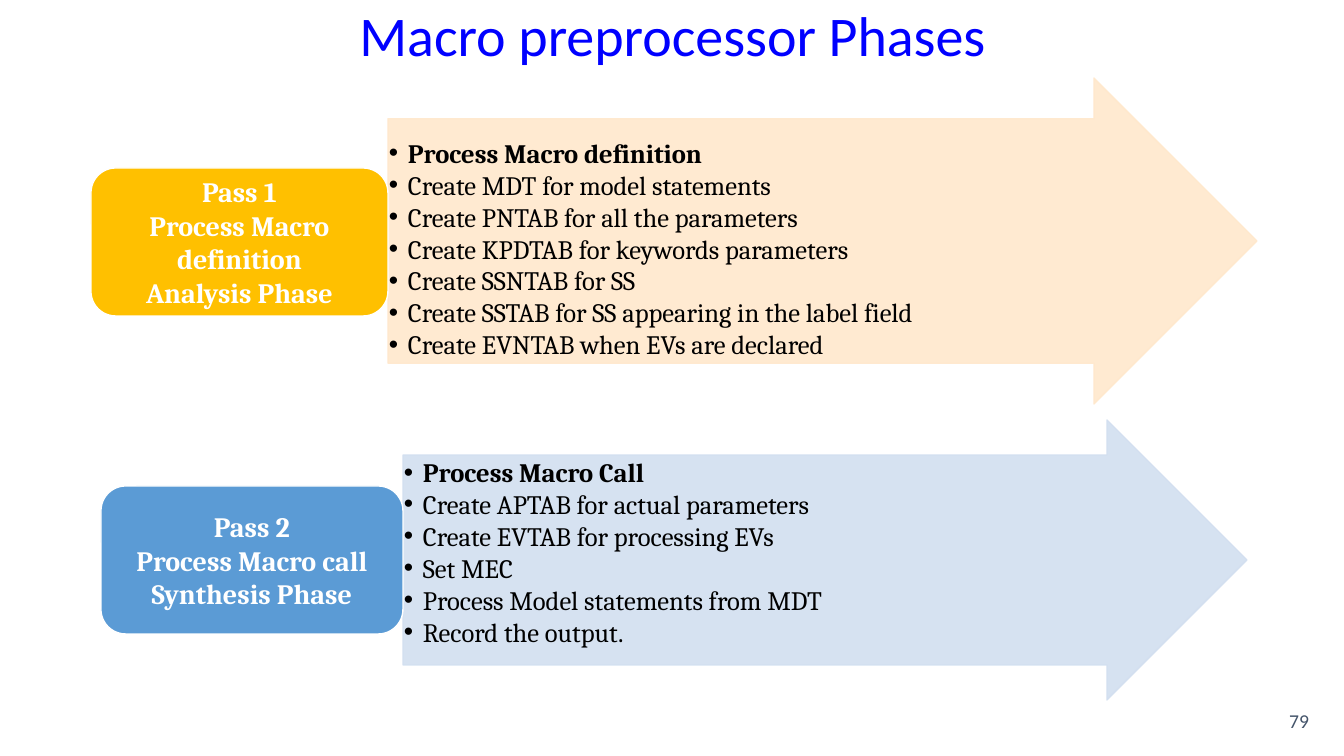
import lxml.etree
import pptx
import pptx.dml.color
import pptx.enum.shapes
import pptx.enum.text
import pptx.oxml.ns
import pptx.util

PX = 914400 / 100.8
COLORS = {
    "title": "0000FF",
    "number": "44546A",
    "black": "000000",
    "white": "FFFFFF",
    "gold": "FFC000",
    "blue": "5B9BD5",
    "peach": "FFE8CC",
    "pale blue": "D2DFF0",
}
PASSES = [
    {
        "arrow": (388, 78, 869, 326), "arrow color": "peach", "top inset": 18,
        "box": (91, 168, 297, 148), "box color": "gold",
        "label": ["Pass 1", "Process Macro definition", "Analysis Phase"],
        "steps": [
            "Process Macro definition",
            "Create MDT for model statements",
            "Create PNTAB for all the parameters",
            "Create KPDTAB for keywords parameters",
            "Create SSNTAB for SS",
            "Create SSTAB for SS appearing in the label field",
            "Create EVNTAB when EVs are declared",
        ],
    },
    {
        "arrow": (403, 420, 844, 280), "arrow color": "pale blue", "top inset": 1,
        "box": (101, 486, 302, 148), "box color": "blue",
        "label": ["Pass 2", "Process Macro call", "Synthesis Phase"],
        "steps": [
            "Process Macro Call",
            "Create APTAB for actual parameters",
            "Create EVTAB for processing EVs",
            "Set MEC",
            "Process Model statements from MDT",
            "Record the output.",
        ],
    },
]
ALIGN = pptx.enum.text.PP_ALIGN
ANCHOR = pptx.enum.text.MSO_ANCHOR
SHAPE = pptx.enum.shapes.MSO_SHAPE
qn = pptx.oxml.ns.qn


def px(*lengths):
    """Turn pixel lengths into a list of EMU lengths."""
    return [pptx.util.Emu(round(length * PX)) for length in lengths]


def write(shape, lines, font, size, color, align, anchor, insets,
          bold_lines=0, bullets=False):
    """Fill a shape with one paragraph per line; the first bold_lines are bold."""
    frame = shape.text_frame
    frame.word_wrap = True
    frame.vertical_anchor = anchor
    (frame.margin_left, frame.margin_top,
     frame.margin_right, frame.margin_bottom) = px(*insets)
    for index, line in enumerate(lines):
        paragraph = frame.add_paragraph() if index else frame.paragraphs[0]
        paragraph.alignment = align
        if bullets:
            properties = paragraph._p.get_or_add_pPr()
            indent = px(19)[0]
            properties.set("marL", str(indent))
            properties.set("indent", str(-indent))
            lxml.etree.SubElement(properties, qn("a:buFont"), typeface="Arial")
            lxml.etree.SubElement(properties, qn("a:buChar"), char="•")
        run = paragraph.add_run()
        run.text = line
        run.font.name = font
        run.font.size = pptx.util.Pt(size)
        run.font.bold = index < bold_lines
        run.font.color.rgb = pptx.dml.color.RGBColor.from_string(COLORS[color])


presentation = pptx.Presentation()
presentation.slide_width, presentation.slide_height = px(1344, 756)
slide = presentation.slides.add_slide(presentation.slide_layouts[6])

title = slide.shapes.add_textbox(*px(244, -25, 857, 126))
write(title, ["Macro preprocessor Phases"], "Calibri", 40, "title",
      ALIGN.CENTER, ANCHOR.MIDDLE, (10, 5, 10, 5))
title.text_frame.paragraphs[0].line_spacing = 0.9

number = slide.shapes.add_textbox(*px(1101, 701, 218, 40))
write(number, ["79"], "Calibri", 14, "number",
      ALIGN.RIGHT, ANCHOR.MIDDLE, (10, 5, 10, 5))

for phase in PASSES:
    arrow = slide.shapes.add_shape(SHAPE.RIGHT_ARROW, *px(*phase["arrow"]))
    arrow.adjustments[0], arrow.adjustments[1] = 0.75, 0.5
    box = slide.shapes.add_shape(SHAPE.ROUNDED_RECTANGLE, *px(*phase["box"]))
    for shape, fill, line in ((arrow, phase["arrow color"], phase["arrow color"]),
                              (box, phase["box color"], "white")):
        shape.shadow.inherit = False
        shape.fill.solid()
        shape.fill.fore_color.rgb = pptx.dml.color.RGBColor.from_string(COLORS[fill])
        shape.line.color.rgb = pptx.dml.color.RGBColor.from_string(COLORS[line])
        shape.line.width = pptx.util.Pt(1)
    for color in arrow._element.spPr.iter(qn("a:srgbClr")):
        lxml.etree.SubElement(color, qn("a:alpha"), val="90000")
    write(arrow, phase["steps"], "Cambria", 19, "black", ALIGN.JUSTIFY, ANCHOR.TOP,
          (1, phase["top inset"], 1, 1), bold_lines=1, bullets=True)
    write(box, phase["label"], "Cambria", 20, "white", ALIGN.CENTER, ANCHOR.MIDDLE,
          (8, 4, 8, 4), bold_lines=len(phase["label"]))

presentation.save("out.pptx")
